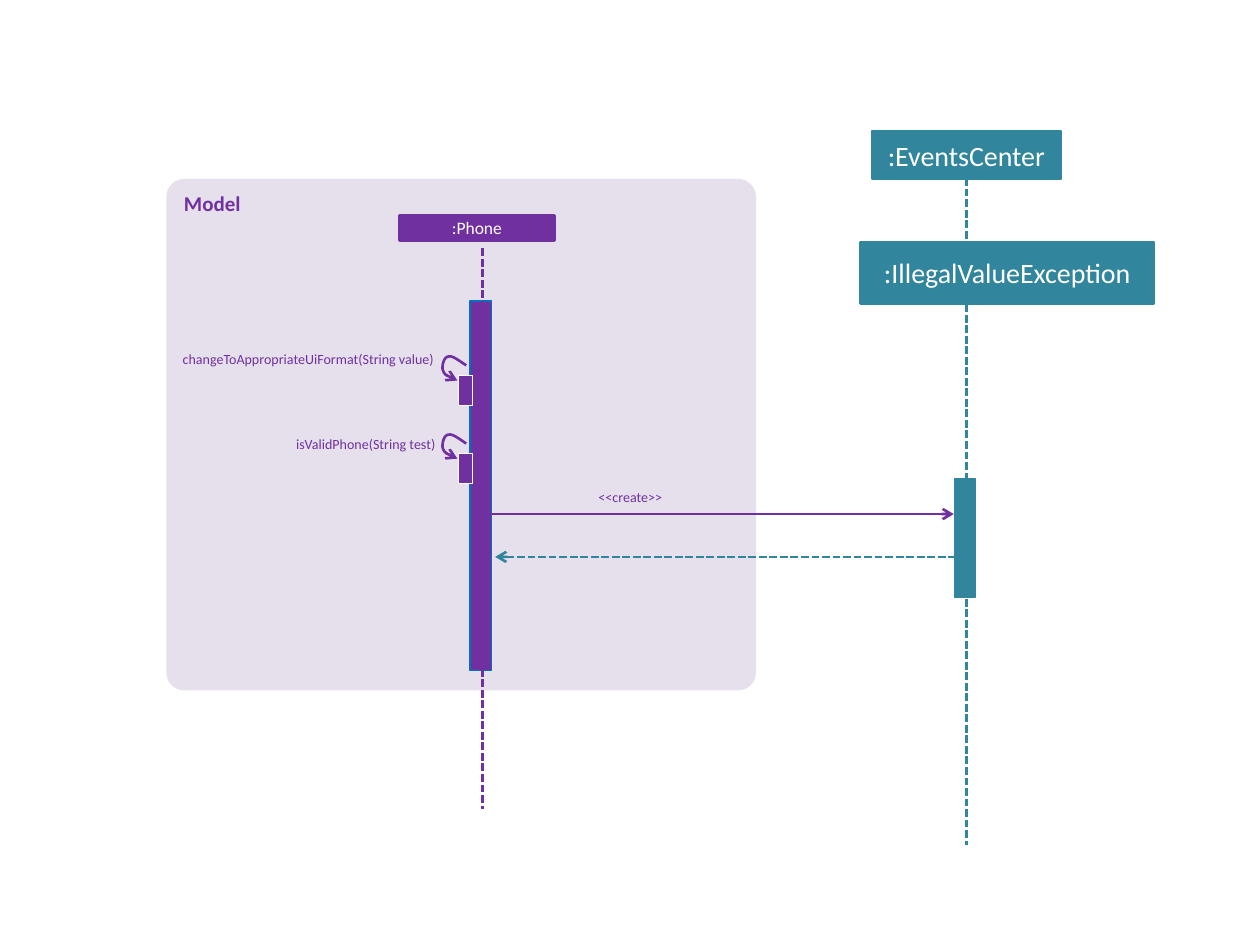
from dataclasses import dataclass
from typing import Optional

from lxml import etree
from pptx import Presentation
from pptx.dml.color import RGBColor
from pptx.enum.dml import MSO_LINE
from pptx.enum.shapes import MSO_CONNECTOR, MSO_SHAPE
from pptx.enum.text import MSO_ANCHOR, PP_ALIGN
from pptx.oxml.ns import qn
from pptx.util import Inches, Pt

RECT, ROUNDED = MSO_SHAPE.RECTANGLE, MSO_SHAPE.ROUNDED_RECTANGLE
STRAIGHT = MSO_CONNECTOR.STRAIGHT
SYS_DASH = MSO_LINE.SQUARE_DOT
LEFT, CENTER = PP_ALIGN.LEFT, PP_ALIGN.CENTER
TOP, MIDDLE = MSO_ANCHOR.TOP, MSO_ANCHOR.MIDDLE

PURPLE = RGBColor(0x70, 0x30, 0xA0)
LAVENDER = RGBColor(0xE6, 0xE0, 0xEC)
TEAL = RGBColor(0x31, 0x85, 0x9C)
BLUE = RGBColor(0x00, 0x70, 0xC0)
WHITE = RGBColor(0xFF, 0xFF, 0xFF)
FONT = "Calibri"


@dataclass
class Bar:
    x: float
    y: float
    w: float
    h: float
    fill: RGBColor
    line: RGBColor


@dataclass
class Participant:
    text: str
    x: float
    y: float
    w: float
    h: float
    color: RGBColor
    size: int


@dataclass
class Line:
    x1: float
    y1: float
    x2: float
    y2: float
    color: RGBColor
    dashed: bool = True
    arrow: Optional[str] = None


@dataclass
class Label:
    text: str
    x: float
    y: float
    w: float


PHONE = Participant(":Phone", 3.17, 1.71, 1.23, 0.2, PURPLE, 10)
EVENTS = Participant(":EventsCenter", 6.92, 1.04, 1.5, 0.38, TEAL, 16)
EXCEPTION = Participant(":IllegalValueException", 6.83, 1.92, 2.33, 0.49, TEAL, 16)
ACTIVATIONS = [
    Bar(3.73, 2.39, 0.17, 2.93, PURPLE, BLUE),
    Bar(7.58, 3.8, 0.16, 0.94, TEAL, TEAL),
]
LINES = [
    Line(3.83, 1.97, 3.83, 6.42, PURPLE),
    Line(7.67, 1.33, 7.67, 6.71, TEAL),
    Line(3.83, 4.08, 7.57, 4.08, PURPLE, dashed=False, arrow="tailEnd"),
    Line(3.93, 4.42, 7.67, 4.42, TEAL, arrow="headEnd"),
]
LABELS = [
    Label("changeToAppropriateUiFormat(String value)", 1.45, 2.78, 2.13),
    Label("isValidPhone(String test)", 2.35, 3.46, 1.23),
    Label("<<create>>", 4.75, 3.88, 1.23),
]
SELF_CALL_TOPS = [2.82, 3.44]
LOOP_CURVES = [
    [(3.63, 0.2), (3.58, 0.18), (3.53, 0.16), (3.52, 0.13)],
    [(3.52, 0.13), (3.5, 0.1), (3.52, 0.01), (3.56, 0.01)],
    [(3.56, 0.01), (3.59, 0), (3.64, 0.04), (3.7, 0.08)],
]
STEPS = 10


def write(tf, text: str, *, size: int, color: RGBColor, bold: bool = False,
          align=LEFT, anchor=TOP) -> None:
    tf.word_wrap = True
    tf.vertical_anchor = anchor
    p = tf.paragraphs[0]
    p.alignment = align
    r = p.add_run()
    r.text = text
    r.font.name = FONT
    r.font.size = Pt(size)
    r.font.bold = bold
    r.font.color.rgb = color


def add_box(shapes, kind, x: float, y: float, w: float, h: float, fill: RGBColor,
            line: Optional[RGBColor] = None, width: float = 0.75):
    sp = shapes.add_shape(kind, Inches(x), Inches(y), Inches(w), Inches(h))
    sp.shadow.inherit = False
    sp.fill.solid()
    sp.fill.fore_color.rgb = fill
    if line is None:
        sp.line.fill.background()
    else:
        sp.line.color.rgb = line
        sp.line.width = Pt(width)
    return sp


def add_arrowhead(line, end: str) -> None:
    ln = line._get_or_add_ln()
    etree.SubElement(ln, qn(f"a:{end}")).set("type", "arrow")


def add_participant(shapes, item: Participant) -> None:
    sp = add_box(shapes, RECT, item.x, item.y, item.w, item.h, item.color, item.color, 1.5)
    write(sp.text_frame, item.text, size=item.size, color=WHITE, align=CENTER, anchor=MIDDLE)


def add_line(shapes, item: Line) -> None:
    cxn = shapes.add_connector(STRAIGHT, Inches(item.x1), Inches(item.y1),
                               Inches(item.x2), Inches(item.y2))
    cxn.line.color.rgb = item.color
    cxn.line.width = Pt(1.5)
    if item.dashed:
        cxn.line.dash_style = SYS_DASH
    if item.arrow:
        add_arrowhead(cxn.line, item.arrow)
    etree.SubElement(cxn._element.spPr, qn("a:effectLst"))


def add_label(shapes, item: Label) -> None:
    tf = shapes.add_textbox(Inches(item.x), Inches(item.y), Inches(item.w),
                            Inches(0.13)).text_frame
    tf.margin_left = tf.margin_top = tf.margin_right = tf.margin_bottom = 0
    write(tf, item.text, size=8, color=PURPLE)


def bezier(a: float, b: float, c: float, d: float, t: float) -> float:
    u = 1 - t
    return u ** 3 * a + 3 * u * u * t * b + 3 * u * t * t * c + t ** 3 * d


def add_self_call(shapes, top: float) -> None:
    group = shapes.add_group_shape().shapes
    points = [
        (Inches(bezier(*(x for x, _ in curve), i / STEPS)),
         Inches(top + bezier(*(y for _, y in curve), i / STEPS)))
        for curve in LOOP_CURVES for i in range(1, STEPS + 1)
    ]
    x, y = LOOP_CURVES[0][0]
    builder = group.build_freeform(Inches(x), Inches(top + y))
    builder.add_line_segments(points, close=False)
    sp = builder.convert_to_shape()
    sp.shadow.inherit = False
    sp.fill.background()
    sp.line.color.rgb = PURPLE
    sp.line.width = Pt(1.5)
    add_arrowhead(sp.line, "headEnd")
    add_box(group, RECT, 3.64, top + 0.16, 0.11, 0.24, PURPLE, WHITE)


def main() -> None:
    prs = Presentation()
    prs.slide_width, prs.slide_height = Inches(10), Inches(7.5)
    shapes = prs.slides.add_slide(prs.slide_layouts[6]).shapes

    model = add_box(shapes, ROUNDED, 1.32, 1.42, 4.68, 4.06, LAVENDER)
    model.adjustments[0] = 0.035
    write(model.text_frame, "Model", size=12, color=PURPLE, bold=True)

    for bar in ACTIVATIONS:
        add_box(shapes, RECT, bar.x, bar.y, bar.w, bar.h, bar.fill, bar.line)
    for participant in (PHONE, EVENTS):
        add_participant(shapes, participant)
    for line in LINES:
        add_line(shapes, line)
    for top in SELF_CALL_TOPS:
        add_self_call(shapes, top)
    add_participant(shapes, EXCEPTION)
    for label in LABELS:
        add_label(shapes, label)

    prs.save("out.pptx")


if __name__ == "__main__":
    main()
